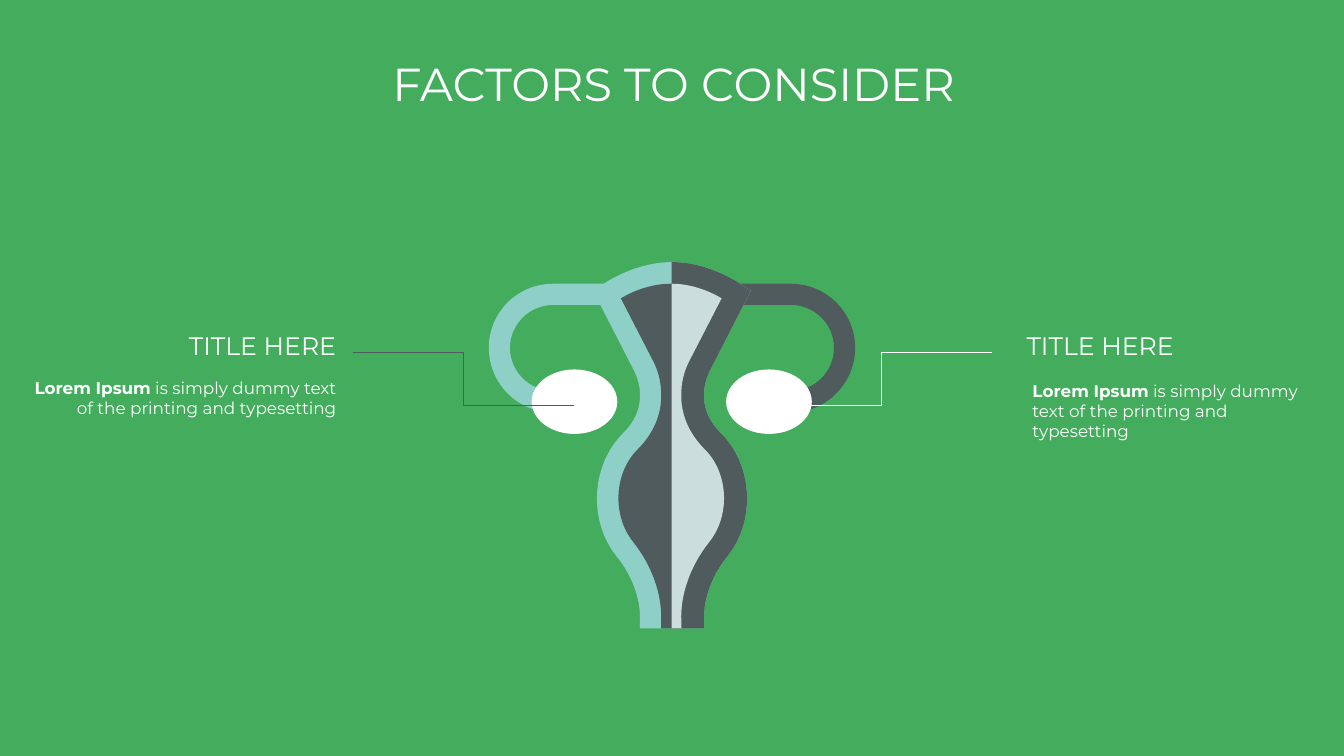
from lxml import etree
from pptx import Presentation
from pptx.dml.color import RGBColor
from pptx.enum.shapes import MSO_CONNECTOR, MSO_SHAPE
from pptx.enum.text import MSO_ANCHOR, MSO_AUTO_SIZE, PP_ALIGN
from pptx.oxml.ns import qn
from pptx.util import Inches, Pt

ELBOW = MSO_CONNECTOR.ELBOW
OVAL, RECTANGLE = MSO_SHAPE.OVAL, MSO_SHAPE.RECTANGLE
LEFT, CENTER, RIGHT = PP_ALIGN.LEFT, PP_ALIGN.CENTER, PP_ALIGN.RIGHT
THEME = {
    "font": "Montserrat",
    "title": Pt(66), "heading": Pt(36), "body": Pt(24), "line": Pt(1.5),
    "green": RGBColor.from_string("43AD5D"),
    "white": RGBColor.from_string("FFFFFF"),
    "slate": RGBColor.from_string("4F5B5D"),
    "teal": RGBColor.from_string("8ED0C8"),
    "mist": RGBColor.from_string("CBDEDC"),
}

# Outlines in inches: pairs are straight steps, sextets Bézier curves.
LEFT_TUBE = [
    (10.98, 5.63), (10.27, 5.63, 9.7, 6.2, 9.7, 6.9),
    (9.7, 7.51, 10.13, 8.04, 10.73, 8.16), (10.81, 7.74),
    (10.41, 7.66, 10.12, 7.31, 10.12, 6.9),
    (10.12, 6.43, 10.51, 6.05, 10.98, 6.05), (12.04, 6.05), (12.04, 5.63),
]
# Right-hand edges, from the bottom up to the centre line
WALL_EDGE = [
    (13.97, 12.47), (13.97, 12.26), (13.97, 11.84, 14.14, 11.4, 14.44, 11.03),
    (15, 10.33, 14.94, 9.23, 14.31, 8.6),
    (14.09, 8.39, 13.97, 8.13, 13.97, 7.87), (13.97, 7.82),
    (13.97, 7.67, 14.01, 7.52, 14.07, 7.39), (14.9, 5.77), (14.75, 5.67),
    (14.72, 5.65, 14.1, 5.2, 13.33, 5.2),
]
CAVITY_EDGE = [
    (13.52, 12.47), (13.52, 12.32), (13.5, 11.79, 13.7, 11.23, 14.07, 10.76),
    (14.5, 10.23, 14.46, 9.38, 13.98, 8.91),
    (13.68, 8.61, 13.52, 8.24, 13.52, 7.87), (13.52, 7.82),
    (13.52, 7.6, 13.57, 7.39, 13.66, 7.2), (14.32, 5.92),
    (14.12, 5.8, 13.75, 5.63, 13.33, 5.63),
]


def mirror(steps, width):
    """Flip the steps left to right within width and reverse their order."""
    backward = [steps[-1][-2:]]
    for previous, step in zip(steps[-2::-1], steps[:0:-1]):
        backward.append(step[2:-2] + step[:-2][:2] + previous[-2:])
    return [tuple(v if i % 2 else width - v for i, v in enumerate(step))
            for step in backward]


def add_outline(shapes, steps, color):
    """Draw a closed outline, turning each sextet into one curve."""
    points = [(Inches(step[i]), Inches(step[i + 1]))
              for step in steps for i in range(0, len(step), 2)]
    builder = shapes.build_freeform(*points[0], scale=1.0)
    builder.add_line_segments(points[1:], close=True)
    outline = builder.convert_to_shape()
    segments = iter(list(outline._element.iter(qn("a:lnTo"))))
    for step in steps[1:]:
        curve = next(segments)
        if len(step) == 6:
            curve.tag = qn("a:cubicBezTo")
            for segment in (next(segments), next(segments)):
                curve.append(segment[0])
                segment.getparent().remove(segment)
    outline.fill.solid()
    outline.fill.fore_color.rgb = color
    outline.line.fill.background()
    outline.shadow.inherit = False


prs = Presentation()
prs.slide_width, prs.slide_height = Inches(26.67), Inches(15)
slide = prs.slides.add_slide(prs.slide_layouts[5])

# The green backdrop belongs to the master
backdrop = slide.shapes.add_shape(RECTANGLE, 0, 0, prs.slide_width, prs.slide_height)
backdrop.fill.solid()
backdrop.fill.fore_color.rgb = THEME["green"]
backdrop.line.fill.background()
backdrop.shadow.inherit = False
prs.slide_master.shapes._spTree.insert(2, backdrop._element)

# Anatomy
anatomy = slide.shapes.add_group_shape().shapes
add_outline(anatomy, mirror(LEFT_TUBE, 26.67), THEME["slate"])
for edge, width, full_color, half_color in [
    (WALL_EDGE, 26.67, "teal", "slate"),
    (CAVITY_EDGE, 26.64, "slate", "mist"),
]:
    add_outline(anatomy, mirror(edge, width) + edge, THEME[full_color])
    add_outline(anatomy, [(13.33, 12.47)] + edge, THEME[half_color])
add_outline(anatomy, LEFT_TUBE, THEME["teal"])
for ovary_left in (10.55, 14.41):
    ovary = anatomy.add_shape(OVAL, Inches(ovary_left), Inches(7.33),
                              Inches(1.7), Inches(1.28))
    ovary.fill.solid()
    ovary.fill.fore_color.rgb = THEME["white"]
    ovary.line.fill.background()
    ovary.shadow.inherit = False

# Callout lines
for start, end, color in [(7, 11.4, "slate"), (19.69, 15.3, "white")]:
    leader = slide.shapes.add_connector(ELBOW, Inches(start), Inches(7),
                                        Inches(end), Inches(8.04))
    leader.line.color.rgb = THEME[color]
    leader.line.width = THEME["line"]
    etree.SubElement(leader._element.spPr, qn("a:effectLst"))

# Title and callout texts
title = slide.shapes.title
title.left, title.top = Inches(2.13), Inches(1.25)
title.width, title.height = Inches(22.47), Inches(0.93)
title.text_frame.text = "FACTORS TO CONSIDER"
title.text_frame.vertical_anchor = MSO_ANCHOR.MIDDLE
title.text_frame.auto_size = MSO_AUTO_SIZE.NONE
texts = [(title, "title", CENTER)]

for heading_left, body_box, align in [
    (0, (0.57, 7.44, 6.2, 0.91), RIGHT),
    (20.1, (20.39, 7.5, 5.91, 1.31), LEFT),
]:
    heading = slide.shapes.add_textbox(Inches(heading_left), Inches(6.35),
                                       Inches(6.94), Inches(1.27))
    heading.text_frame.text = "TITLE HERE"
    body = slide.shapes.add_textbox(*map(Inches, body_box))
    body.text_frame.auto_size = MSO_AUTO_SIZE.SHAPE_TO_FIT_TEXT
    paragraph = body.text_frame.paragraphs[0]
    lead = paragraph.add_run()
    lead.text = "Lorem Ipsum"
    lead.font.bold = True
    paragraph.add_run().text = " is simply dummy text of the printing and typesetting"
    texts += [(heading, "heading", align), (body, "body", align)]

for box, role, align in texts:
    frame = box.text_frame
    frame.word_wrap = True
    paragraph = frame.paragraphs[0]
    paragraph.alignment = align
    paragraph.font.name = THEME["font"]
    paragraph.font.size = THEME[role]
    paragraph.font.color.rgb = THEME["white"]
    if role != "body":
        paragraph.line_spacing = 0.9
        frame.margin_left = frame.margin_right = Inches(0.27)
        frame.margin_top = frame.margin_bottom = Inches(0.27)

prs.save("out.pptx")
